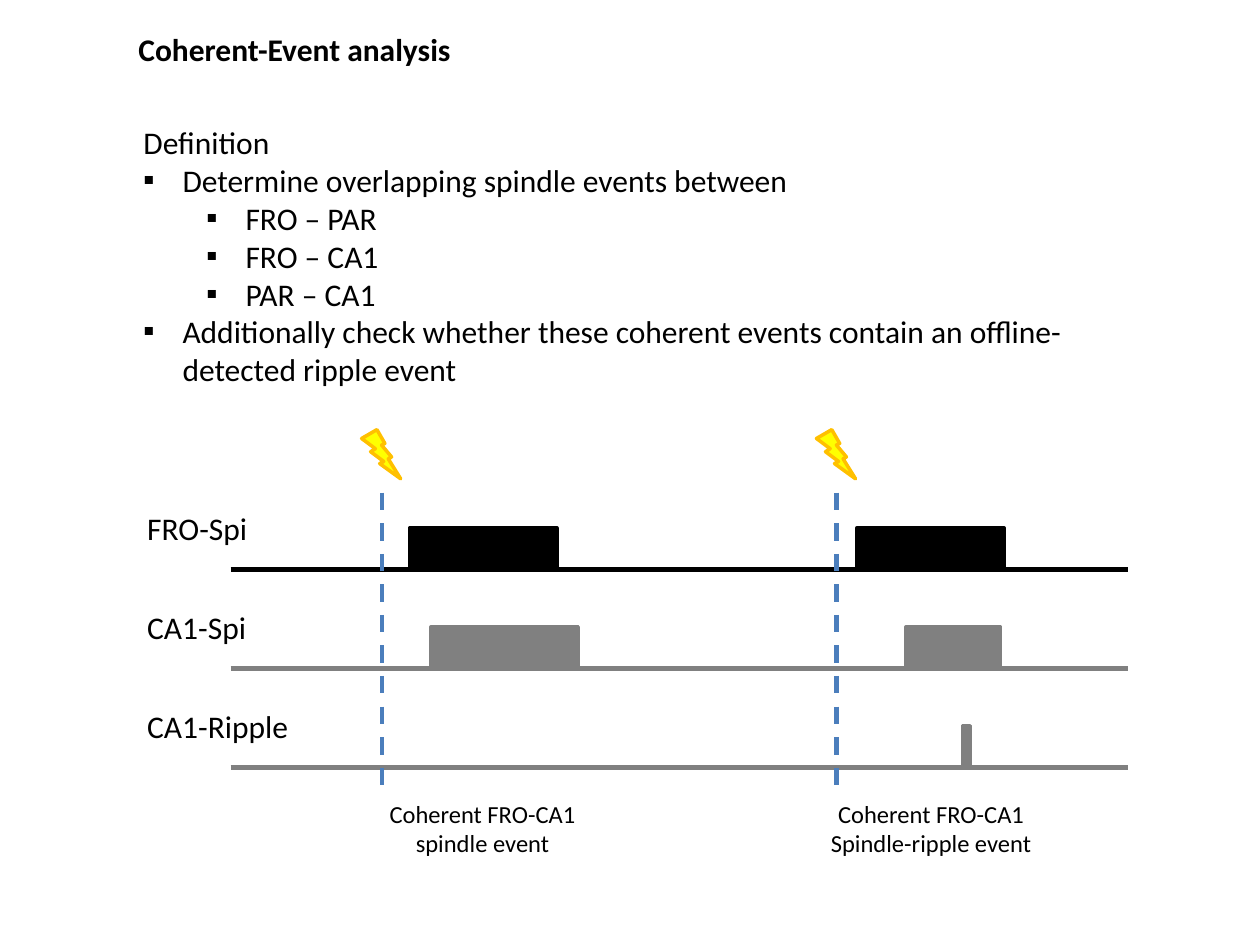
from lxml.etree import SubElement
from pptx import Presentation
from pptx.dml.color import RGBColor
from pptx.enum.dml import MSO_LINE
from pptx.enum.shapes import MSO_CONNECTOR, MSO_SHAPE
from pptx.enum.text import PP_ALIGN
from pptx.oxml.ns import qn
from pptx.util import Inches, Pt

BLACK, GRAY, BLUE, YELLOW, ORANGE = "000000", "808080", "4B7EBC", "FFFF00", "FFC000"

DEFINITION = [
    (None, "Definition"),
    (0, "Determine overlapping spindle events between"),
    (1, "FRO – PAR"),
    (1, "FRO – CA1"),
    (1, "PAR – CA1"),
    (0, "Additionally check whether these coherent events contain an "
        "offline-detected ripple event"),
]
# Label, label width, colour, pulses as (offset from the track's left, width)
TRACKS = [
    ("FRO-Spi", 1.25, BLACK, [(1.42, 1.17), (4.97, 1.17)]),
    ("CA1-Spi", 1.25, GRAY, [(1.59, 1.17), (5.36, 0.75)]),
    ("CA1-Ripple", 1.49, GRAY, [(5.81, 0.06)]),
]
# Offset of the stimulus and of its caption from the track's left, caption lines
STIMULI = [
    (1.2, 1.0, ["Coherent FRO-CA1", "spindle event"]),
    (4.81, 4.56, ["Coherent FRO-CA1", "Spindle-ripple event"]),
]


def color(hex_code):
    return RGBColor.from_string(hex_code)


def add_bullet(paragraph, level):
    paragraph.level = level
    props = paragraph._p.get_or_add_pPr()
    props.set("marL", str(Inches(0.31 + 0.5 * level)))
    props.set("indent", str(Inches(-0.31)))
    SubElement(props, qn("a:buFont"), typeface="Calibri")
    SubElement(props, qn("a:buChar"), char="▪")


def add_text(slide, left, top, width, height, lines, size=18, bold=False, align=None):
    """Place (bullet level, text) lines; a level of None means no bullet."""
    box = slide.shapes.add_textbox(Inches(left), Inches(top), Inches(width), Inches(height))
    frame = box.text_frame
    frame.word_wrap = True
    for index, (level, text) in enumerate(lines):
        paragraph = frame.add_paragraph() if index else frame.paragraphs[0]
        if level is not None:
            add_bullet(paragraph, level)
        paragraph.text = text
        paragraph.alignment = align
        font = paragraph.font
        font.name, font.size, font.bold = "Calibri", Pt(size), bold
        font.color.rgb = color(BLACK)


def add_line(slide, x1, y1, x2, y2, stroke, weight, dash=None):
    line = slide.shapes.add_connector(
        MSO_CONNECTOR.STRAIGHT, Inches(x1), Inches(y1), Inches(x2), Inches(y2))
    line.line.color.rgb = color(stroke)
    line.line.width = Pt(weight)
    line.line.dash_style = dash
    SubElement(line._element.spPr, qn("a:effectLst"))


def add_filled(slide, kind, left, top, width, height, fill, stroke):
    shape = slide.shapes.add_shape(
        kind, Inches(left), Inches(top), Inches(width), Inches(height))
    shape.shadow.inherit = False
    shape.fill.solid()
    shape.fill.fore_color.rgb = color(fill)
    shape.line.color.rgb = color(stroke)
    shape.line.width = Pt(2)


def add_track(slide, left, baseline, width, track):
    label, label_width, shade, pulses = track
    add_line(slide, left, baseline, left + width, baseline, shade, 3)
    for offset, pulse_width in pulses:
        add_filled(slide, MSO_SHAPE.RECTANGLE, left + offset, baseline - 0.33,
                   pulse_width, 0.33, shade, shade)
    add_text(slide, left - 0.76, baseline - 0.53, label_width, 0.4, [(None, label)])


def add_stimulus(slide, x, top, caption_left, caption):
    add_text(slide, caption_left, top + 2.88, 2, 0.57,
             [(None, line) for line in caption], size=14, align=PP_ALIGN.CENTER)
    add_line(slide, x, top + 0.5, x, top + 2.88, BLUE, 2.5, MSO_LINE.DASH)
    add_filled(slide, MSO_SHAPE.LIGHTNING_BOLT, x - 0.16, top, 0.31, 0.39, YELLOW, ORANGE)


def add_timeline(slide, left, top, width):
    for row, track in enumerate(TRACKS):
        add_track(slide, left, top + 1.11 + 0.785 * row, width, track)
    for offset, caption_offset, caption in STIMULI:
        add_stimulus(slide, left + offset, top, left + caption_offset, caption)


def main():
    deck = Presentation()
    deck.slide_width, deck.slide_height = Inches(10), Inches(7.5)
    slide = deck.slides.add_slide(deck.slide_layouts[6])
    add_text(slide, 1, 0.19, 8, 0.4, [(None, "Coherent-Event analysis")], bold=True)
    add_text(slide, 1.04, 0.93, 7.92, 2.22, DEFINITION)
    add_timeline(slide, 1.83, 3.41, 7.12)
    deck.save("out.pptx")


if __name__ == "__main__":
    main()
